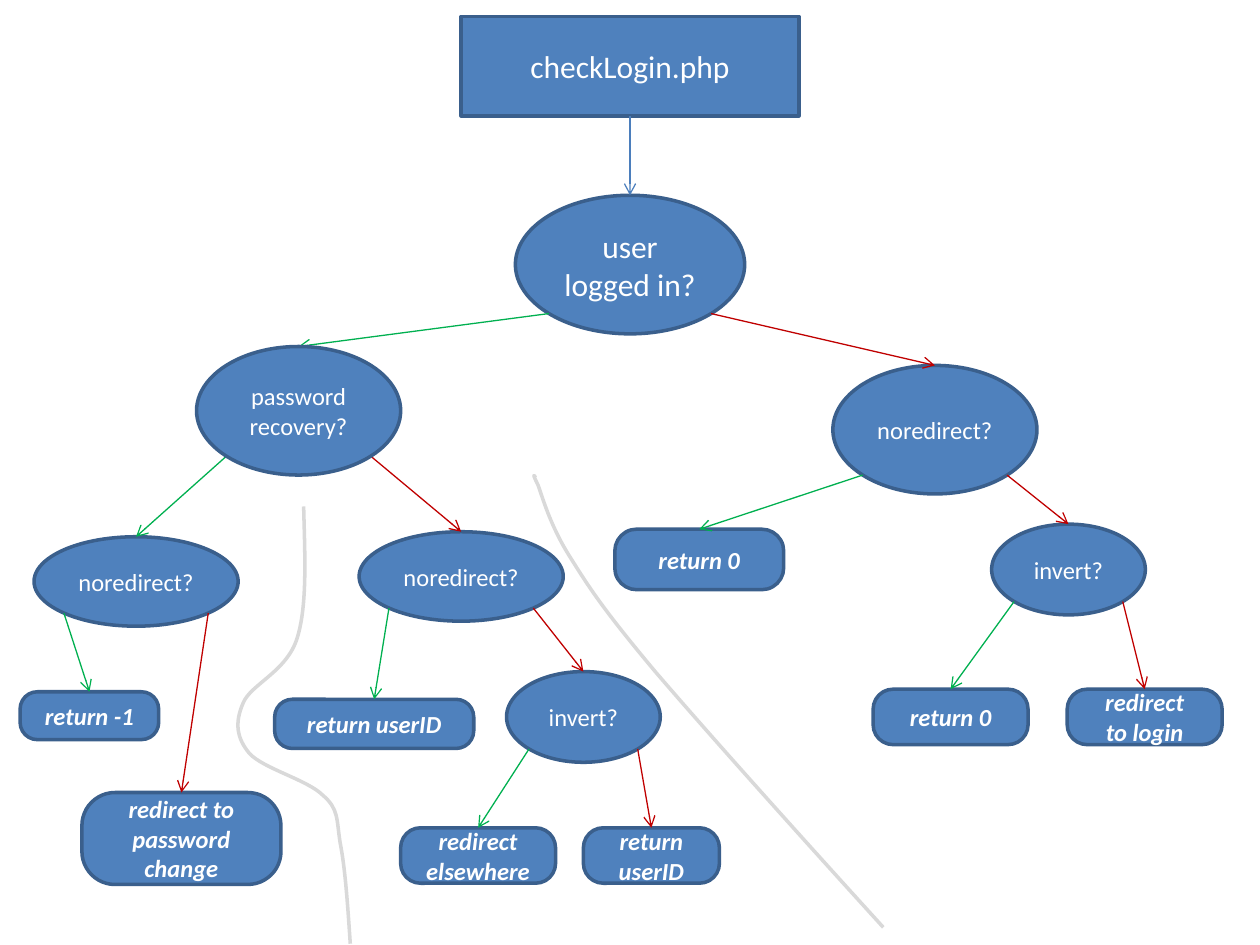
from dataclasses import dataclass
from math import sqrt

from lxml import etree
from pptx import Presentation
from pptx.dml.color import RGBColor
from pptx.enum import shapes, text
from pptx.oxml import parse_xml
from pptx.oxml.ns import nsdecls, qn
from pptx.util import Inches, Pt


@dataclass
class Theme:
    """Colours, font and sizes of the decision tree."""
    font: str = "Calibri"
    fill: str = "4F81BD"
    outline: str = "3A5F8C"
    label: str = "FFFFFF"
    start: str = "4B7EBC"
    yes: str = "00B050"
    no: str = "C00000"
    divider: str = "D9D9D9"
    large: int = 18
    small: int = 14
    border: float = 2
    arrow: float = 0.75


theme = Theme()
RECT = shapes.MSO_SHAPE.RECTANGLE
OVAL = shapes.MSO_SHAPE.OVAL
ROUND = shapes.MSO_SHAPE.ROUNDED_RECTANGLE

deck = Presentation()
deck.slide_width, deck.slide_height = Inches(10), Inches(7.5)
page = deck.slides.add_slide(deck.slide_layouts[6])


def set_line(shape, color, width):
    """Give a shape or connector a solid line."""
    shape.line.color.rgb = RGBColor.from_string(color)
    shape.line.width = Pt(width)


# name: preset, label, type size, left, top, width, height
nodes = {
    "start": (RECT, "checkLogin.php", theme.large, 3.66, 0.13, 2.68, 0.79),
    "logged in": (OVAL, "user logged in?", theme.large, 4.09, 1.55, 1.82, 1.1),
    "recovery": (OVAL, "password\vrecovery?", theme.small, 1.56, 2.75, 1.62, 1.02),
    "guest": (OVAL, "noredirect?", theme.small, 6.61, 2.9, 1.62, 1.02),
    "recovering": (OVAL, "noredirect?", theme.small, 0.27, 4.26, 1.62, 0.71),
    "member": (OVAL, "noredirect?", theme.small, 2.85, 4.22, 1.62, 0.71),
    "member invert": (OVAL, "invert?", theme.small, 4.02, 5.33, 1.22, 0.72),
    "guest invert": (OVAL, "invert?", theme.small, 7.87, 4.16, 1.22, 0.72),
    "minus one": (ROUND, "return -1", theme.small, 0.16, 5.49, 1.1, 0.38),
    "change": (ROUND, "redirect to\vpassword change", theme.small, 0.65, 6.29, 1.58, 0.73),
    "member id": (ROUND, "return userID", theme.small, 2.18, 5.55, 1.58, 0.39),
    "elsewhere": (ROUND, "redirect\velsewhere", theme.small, 3.18, 6.57, 1.23, 0.44),
    "inverted id": (ROUND, "return userID", theme.small, 4.63, 6.57, 1.08, 0.44),
    "guest zero": (ROUND, "return 0", theme.small, 4.88, 4.2, 1.34, 0.48),
    "inverted zero": (ROUND, "return 0", theme.small, 6.93, 5.47, 1.23, 0.44),
    "login": (ROUND, "redirect\vto login", theme.small, 8.47, 5.47, 1.23, 0.44),
}

drawn = {}
for name, (preset, label, size, *place) in nodes.items():
    node = page.shapes.add_shape(preset, *map(Inches, place))
    node.shadow.inherit = False
    node.fill.solid()
    node.fill.fore_color.rgb = RGBColor.from_string(theme.fill)
    set_line(node, theme.outline, theme.border)
    is_result = preset == ROUND
    if is_result:
        node.adjustments[0] = 0.36
    frame = node.text_frame
    frame.word_wrap = True
    frame.vertical_anchor = text.MSO_ANCHOR.MIDDLE
    frame.text = label
    para = frame.paragraphs[0]
    para.alignment = text.PP_ALIGN.CENTER
    style = {"name": theme.font, "size": Pt(size), "bold": is_result, "italic": is_result}
    for span in para.runs:
        for key, value in style.items():
            setattr(span.font, key, value)
        span.font.color.rgb = RGBColor.from_string(theme.label)
    drawn[name] = node

# Each question leads to a yes answer and a no answer
branches = {
    "logged in": ("recovery", "guest"),
    "recovery": ("recovering", "member"),
    "guest": ("guest zero", "guest invert"),
    "recovering": ("minus one", "change"),
    "member": ("member id", "member invert"),
    "member invert": ("elsewhere", "inverted id"),
    "guest invert": ("inverted zero", "login"),
}
# source, target, colour, exit point across and down from the source centre
arrows = [("start", "logged in", theme.start, 0, 0.5)]
diagonal = sqrt(0.5) / 2
for question, (yes, no) in branches.items():
    arrows.append((question, yes, theme.yes, -diagonal, diagonal))
    arrows.append((question, no, theme.no, diagonal, diagonal))

for source, target, color, across, down in arrows:
    box = drawn[source]
    x = round(box.left + box.width * (0.5 + across))
    y = round(box.top + box.height * (0.5 + down))
    arrow = page.shapes.add_connector(shapes.MSO_CONNECTOR.STRAIGHT, x, y, x, y)
    arrow.end_connect(drawn[target], 0)
    set_line(arrow, color, theme.arrow)
    arrow.line._get_or_add_ln().append(parse_xml(f'<a:tailEnd {nsdecls("a")} type="arrow"/>'))
    arrow._element.spPr.append(parse_xml(f'<a:effectLst {nsdecls("a")}/>'))

# The recovery question covers the tip of the arrow that reaches it
page.shapes._spTree.append(drawn["recovery"]._element)

# Each divider: a start point, then two controls and an end for every curve
dividers = [
    [(2.41, 4.02),
     (2.42, 4.41), (2.44, 4.8), (2.36, 5.06),
     (2.28, 5.33), (1.99, 5.43), (1.93, 5.58),
     (1.86, 5.74), (1.88, 5.86), (1.98, 5.98),
     (2.09, 6.1), (2.44, 6.19), (2.56, 6.31),
     (2.69, 6.42), (2.67, 6.5), (2.7, 6.69),
     (2.74, 6.89), (2.76, 7.19), (2.78, 7.49)],
    [(4.25, 3.79),
     (4.24, 3.77), (4.22, 3.75), (4.27, 3.85),
     (4.31, 3.96), (4.37, 4.18), (4.53, 4.43),
     (4.68, 4.67), (4.79, 4.84), (5.2, 5.33),
     (5.62, 5.82), (6.31, 6.59), (7.01, 7.36)],
]
for points in dividers:
    origin, *rest = [(Inches(x), Inches(y)) for x, y in points]
    builder = page.shapes.build_freeform(*origin)
    builder.add_line_segments(rest, close=False)
    divider = builder.convert_to_shape()
    divider.shadow.inherit = False
    divider.fill.background()
    set_line(divider, theme.divider, theme.border)
    divider._element.remove(divider._element.find(qn("p:txBody")))
    # Every three straight segments become one curve
    outline = next(divider._element.iter(qn("a:path")))
    segments = outline.findall(qn("a:lnTo"))
    for start in range(0, len(segments), 3):
        curve = etree.SubElement(outline, qn("a:cubicBezTo"))
        for segment in segments[start:start + 3]:
            curve.append(segment[0])
            outline.remove(segment)

deck.save("out.pptx")
